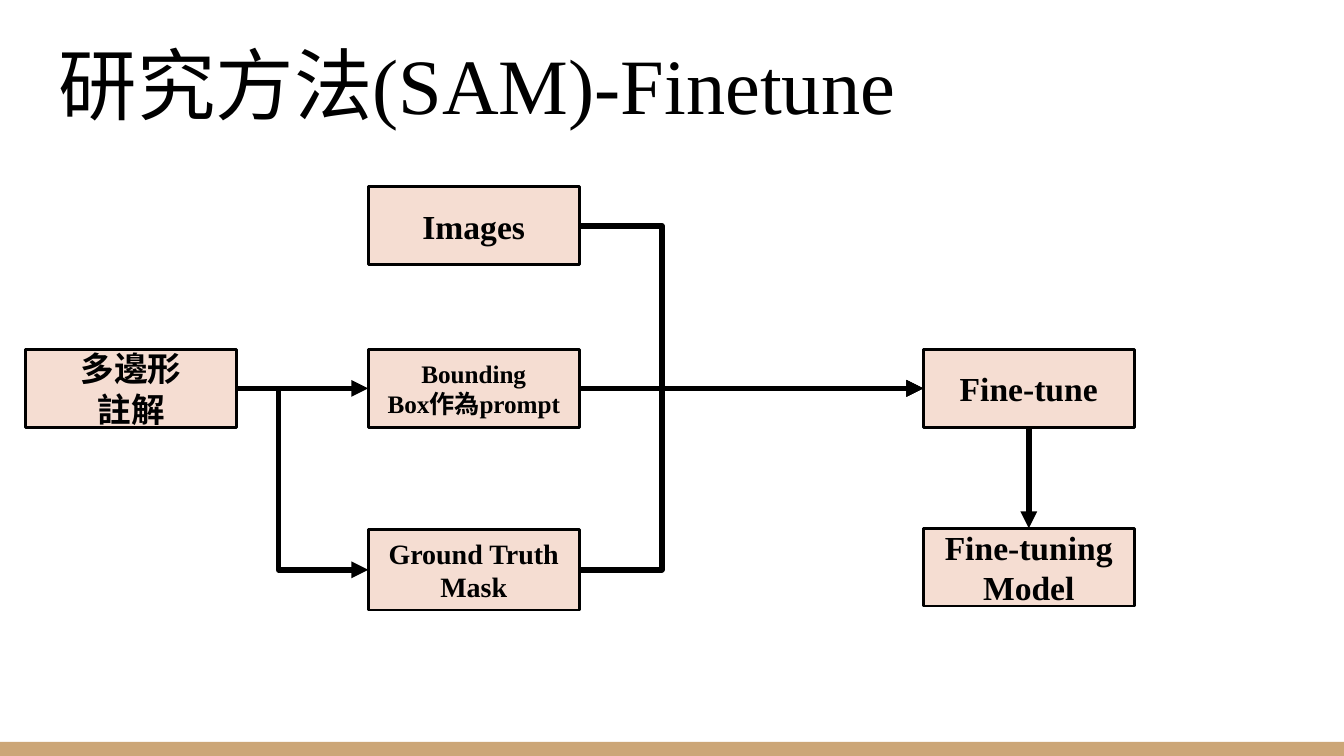
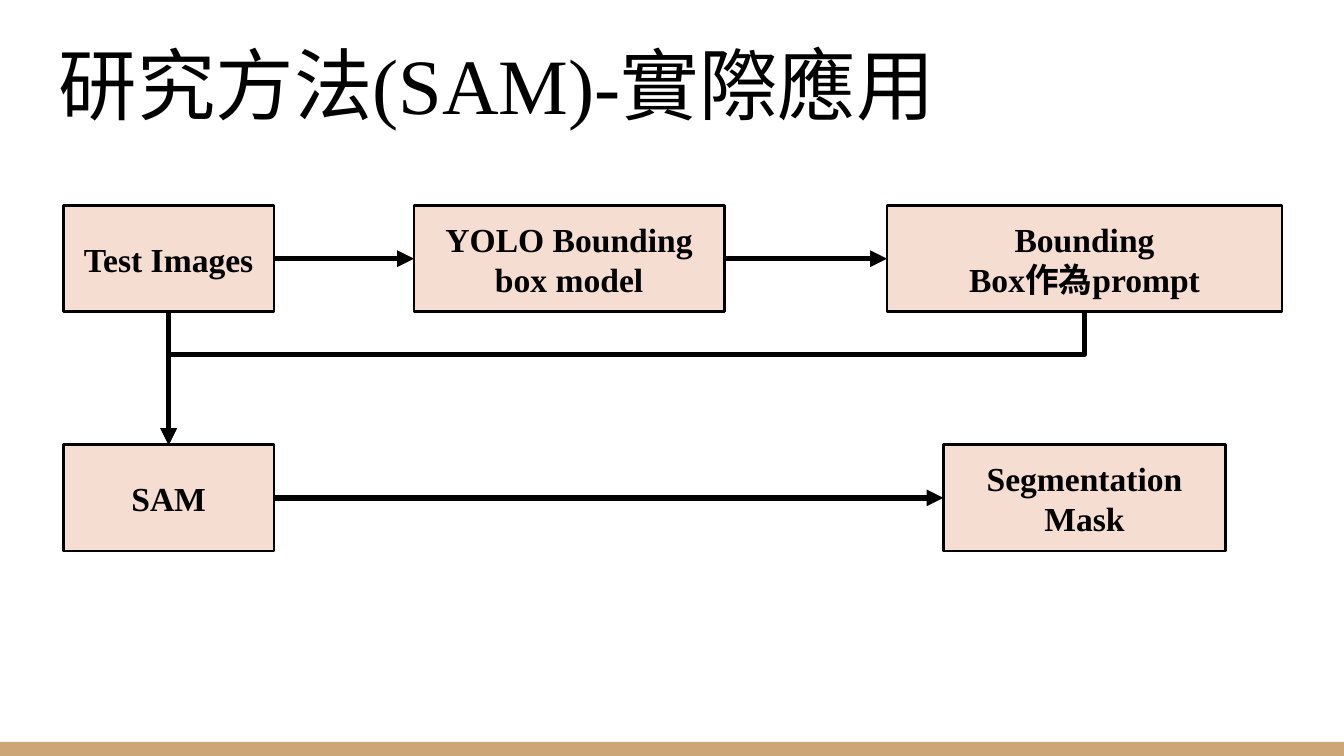
from lxml.etree import SubElement
from pptx import Presentation
from pptx.dml.color import RGBColor
from pptx.enum.shapes import MSO_CONNECTOR, MSO_SHAPE
from pptx.enum.text import MSO_ANCHOR, PP_ALIGN
from pptx.oxml.ns import qn
from pptx.util import Inches, Pt

COLORS = {"ink": "000000", "box": "F5DDD2", "band": "CCA677"}
TOP, LEFT, BOTTOM, RIGHT = range(4)
BOX_W = 1.57


class Deck:
    """Draws flow charts that share one style on the current slide."""

    def __init__(self):
        self.prs = Presentation()
        self.prs.slide_width = Inches(10)
        self.prs.slide_height = Inches(10) * 9 // 16
        self.slide = None

    def color(self, name):
        return RGBColor.from_string(COLORS[name])

    def new_slide(self, topic):
        self.slide = self.prs.slides.add_slide(self.prs.slide_layouts[6])
        band = self.rect(0, 5.52, 10, 0.11, "band")
        band.line.fill.background()
        self.title("研究方法", topic)

    def title(self, lead, topic):
        sp = self.slide.shapes.add_textbox(
            Inches(0.34), Inches(0.16), Inches(9.32), Inches(0.91))
        tf = sp.text_frame
        tf.word_wrap = True
        tf.vertical_anchor = MSO_ANCHOR.BOTTOM
        tf.margin_left = tf.margin_right = Inches(0.1)
        tf.margin_top = tf.margin_bottom = Inches(0.1)
        p = tf.paragraphs[0]
        p.font.size = Pt(42)
        p.font.color.rgb = self.color("ink")
        for text, font in ((lead, "Arial"), (topic, "Times New Roman")):
            r = p.add_run()
            r.text = text
            r.font.name = font

    def rect(self, x, y, w, h, fill):
        sp = self.slide.shapes.add_shape(
            MSO_SHAPE.RECTANGLE, Inches(x), Inches(y), Inches(w), Inches(h))
        sp.shadow.inherit = False
        sp.fill.solid()
        sp.fill.fore_color.rgb = self.color(fill)
        return sp

    def box(self, text, x, y, w=BOX_W, h=0.58, size=18):
        sp = self.rect(x, y, w, h, "box")
        sp.line.color.rgb = self.color("ink")
        sp.line.width = Pt(1.5)
        tf = sp.text_frame
        tf.text = text
        tf.vertical_anchor = MSO_ANCHOR.MIDDLE
        for p in tf.paragraphs:
            p.alignment = PP_ALIGN.CENTER
            p.font.name = "Times New Roman"
            p.font.size = Pt(size)
            p.font.bold = True
            p.font.color.rgb = self.color("ink")
        return sp

    def arrow(self, start, end, sides=(RIGHT, LEFT), bend=None):
        kind = MSO_CONNECTOR.STRAIGHT if bend is None else MSO_CONNECTOR.ELBOW
        cxn = self.slide.shapes.add_connector(kind, 0, 0, 0, 0)
        cxn.begin_connect(start, sides[0])
        cxn.end_connect(end, sides[1])
        cxn.line.color.rgb = self.color("ink")
        cxn.line.width = Pt(3)
        props = cxn._element.spPr
        SubElement(props.find(qn("a:ln")), qn("a:tailEnd"), type="triangle")
        SubElement(props, qn("a:effectLst"))
        if bend is not None:
            guides = props.find(qn("a:prstGeom")).get_or_add_avLst()
            SubElement(guides, qn("a:gd"), name="adj1",
                       fmla=f"val {round(bend * 100000)}")
            if sides[0] == BOTTOM:
                self.turn(cxn)

    def turn(self, cxn):
        dx, dy = cxn.end_x - cxn.begin_x, cxn.end_y - cxn.begin_y
        mid_x, mid_y = cxn.begin_x + dx // 2, cxn.begin_y + dy // 2
        cxn.begin_x, cxn.end_x = mid_x - dy // 2, mid_x + dy // 2
        cxn.begin_y, cxn.end_y = mid_y + dx // 2, mid_y - dx // 2
        cxn._element.spPr.find(qn("a:xfrm")).set("rot", str(90 * 60000))


def finetune_slide(deck):
    """Shows how annotations and images feed the fine-tuning."""
    deck.new_slide("(SAM)-Finetune")
    input_x, tune_x, row_y = 2.74, 6.87, 2.6
    polygon = deck.box("多邊形\n註解", 0.19, row_y)
    prompt = deck.box("Bounding\nBox作為prompt", input_x, row_y, size=13.5)
    tune = deck.box("Fine-tune", tune_x, row_y)
    model = deck.box("Fine-tuning\nModel", tune_x, 3.93)
    mask = deck.box("Ground Truth Mask", input_x, 3.94, h=0.6, size=15)
    images = deck.box("Images", input_x, 1.39)

    deck.arrow(images, tune, bend=0.24)
    deck.arrow(polygon, prompt)
    deck.arrow(prompt, tune)
    deck.arrow(polygon, mask, bend=0.32)
    deck.arrow(mask, tune, bend=0.24)
    deck.arrow(tune, model, (BOTTOM, TOP))


def application_slide(deck):
    """Shows how a test image becomes a segmentation mask."""
    deck.new_slide("(SAM)-實際應用")
    left_x, top_y, low_y, h = 0.47, 1.53, 3.31, 0.79
    images = deck.box("Test Images", left_x, top_y, h=h)
    detector = deck.box("YOLO Bounding box model", 3.08, top_y, 2.31, h)
    prompt = deck.box("Bounding\nBox作為prompt", 6.6, top_y, 2.94, h)
    sam = deck.box("SAM", left_x, low_y, h=h)
    mask = deck.box("Segmentation\nMask", 7.02, low_y, 2.1, h)

    deck.arrow(images, detector)
    deck.arrow(sam, mask)
    deck.arrow(images, sam, (BOTTOM, TOP))
    deck.arrow(detector, prompt)
    deck.arrow(prompt, sam, (BOTTOM, TOP), bend=0.32)


def main():
    """Builds and saves both slides."""
    deck = Deck()
    finetune_slide(deck)
    application_slide(deck)
    deck.prs.save("out.pptx")


if __name__ == "__main__":
    main()
